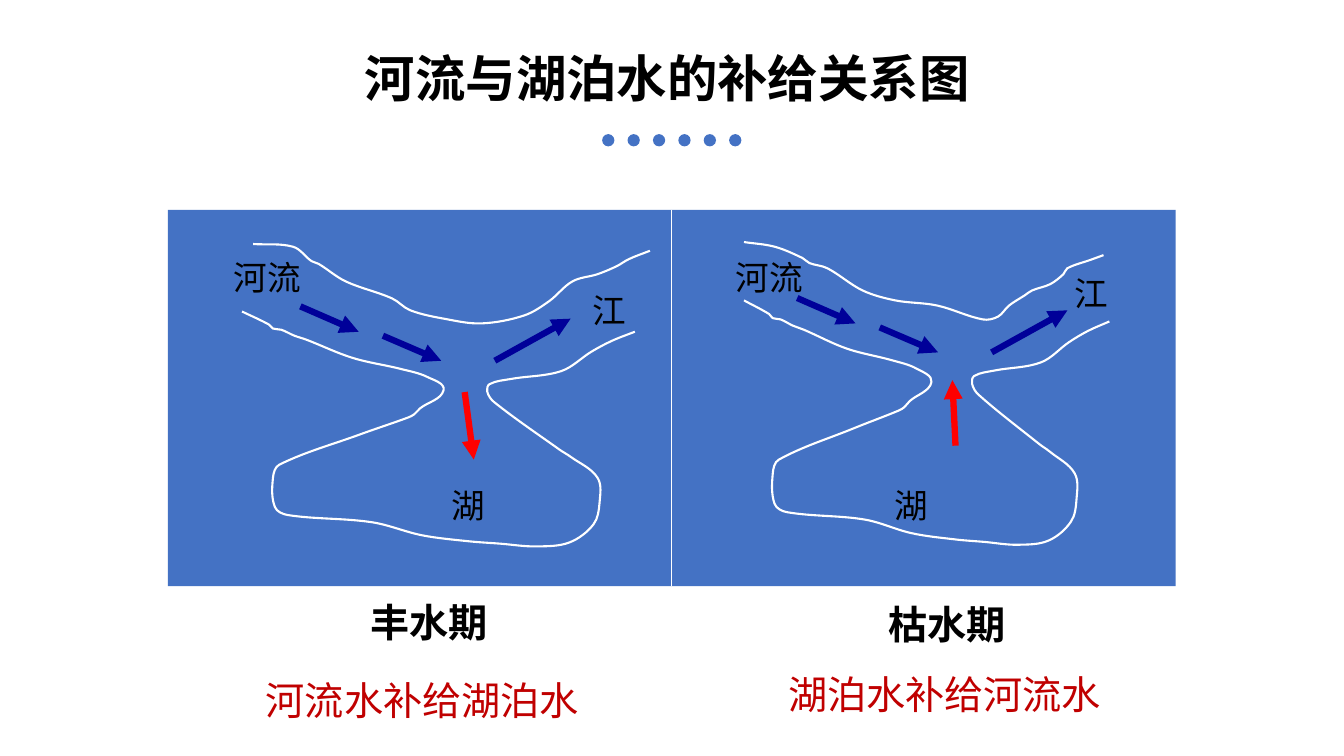
from dataclasses import dataclass
from math import hypot

from lxml.etree import SubElement
from pptx import Presentation
from pptx.dml.color import RGBColor
from pptx.enum.shapes import MSO_CONNECTOR as Connector, MSO_SHAPE as Shape
from pptx.enum.text import MSO_ANCHOR as Anchor, MSO_AUTO_SIZE as AutoSize, PP_ALIGN as Align
from pptx.oxml.ns import qn
from pptx.util import Cm, Pt

TITLE = "河流与湖泊水的补给关系图"
TITLE_BOX = (8.94, 1.07, 15.98, 1.78)
PANEL = (4.23, 5.29, 25.4, 9.48)
DOTS = {"count": 6, "pitch": 0.64, "size": 0.31, "top": 3.38}

SHORE = [
    (6.1, 7.85), (6.78, 8.18), (6.88, 8.28), (7.09, 8.31), (7.42, 8.46), (7.72, 8.56),
    (8.89, 9.02), (10.11, 9.3), (10.77, 9.5), (11.18, 9.83), (10.59, 10.29), (10.44, 10.44),
    (10.29, 10.52), (9.07, 10.95), (7.04, 11.71), (6.88, 12.04), (6.93, 12.78), (7.26, 12.98),
    (9.37, 13.16), (10.64, 13.49), (11.81, 13.64), (12.6, 13.7), (13.51, 13.77), (14.35, 13.67),
    (14.96, 13.21), (15.11, 12.67), (15.06, 12.04), (14.38, 11.51), (14.1, 11.33),
    (12.45, 10.13), (12.28, 9.87), (12.34, 9.68), (12.88, 9.55), (14.15, 9.35),
    (14.91, 8.86), (15.42, 8.59), (16, 8.36),
]
RIVER_ARROWS = [(7.57, 7.72, 9.04, 8.36), (9.65, 8.46, 11.12, 9.09), (12.47, 9.09, 14.38, 8.03)]

SEASONS = [
    {
        "north_bank": [
            (6.38, 6.15), (7.39, 6.22), (7.85, 6.58), (8.03, 6.65), (8.71, 7.09), (9.88, 7.52),
            (10.34, 7.82), (11.23, 8.04), (12.14, 8.15), (13.21, 7.95), (13.84, 7.59),
            (14.43, 7.09), (15.06, 6.91), (15.54, 6.71), (15.85, 6.53), (16.38, 6.32),
        ],
        "shore_start": (6.1, 7.85), "shore_scale": (1, 1),
        "river_shift": (0, 0), "supply_arrow": (11.71, 9.88, 11.94, 11.58),
        "labels": [
            ("season", "丰水期", (8.69, 14.96, 4.24, 1.45)),
            ("lake", "湖", (11.13, 12.09, 1.17, 1.27)),
            ("lake", "江", (14.68, 7.19, 1.27, 1.27)),
            ("supply", "河流水补给湖泊水", (6.45, 16.92, 8.71, 1.45)),
            ("river", "河流", (5.64, 6.35, 2.51, 1.27)),
        ],
    },
    {
        "north_bank": [
            (18.75, 6.1), (19.53, 6.22), (20.22, 6.5), (20.4, 6.63), (20.85, 6.76), (21.74, 7.32),
            (22.56, 7.57), (23.62, 7.7), (24.77, 8.05), (25.15, 7.98), (25.43, 7.7),
            (25.83, 7.44), (26.01, 7.32), (26.47, 7.16), (26.8, 6.91), (26.9, 6.76),
            (27.48, 6.55), (27.81, 6.43),
        ],
        "shore_start": (18.75, 7.57), "shore_scale": (0.93, 1.04),
        "river_shift": (12.52, -0.21), "supply_arrow": (24.08, 11.23, 24, 9.58),
        "labels": [
            ("season", "枯水期", (21.87, 15.01, 4.01, 1.45)),
            ("lake", "湖", (22.3, 12.09, 3.18, 1.27)),
            ("lake", "江", (26.82, 6.76, 1.27, 1.27)),
            ("supply", "湖泊水补给河流水", (19.61, 16.76, 8.56, 1.45)),
            ("river", "河流", (18.29, 6.35, 2.51, 1.27)),
        ],
    },
]


@dataclass(frozen=True)
class Theme:
    water: str = "4472C4"
    bank: str = "FFFFFF"
    river: str = "000099"
    supply: str = "FF0000"
    ink: str = "000000"
    accent: str = "C00000"
    title_size: int = 36
    large_size: int = 28
    label_size: int = 24
    sans: str = "Arial"
    serif: str = "Times New Roman"


THEME = Theme()
STYLES = {
    "title": (THEME.sans, THEME.title_size, THEME.ink, True),
    "season": (THEME.serif, THEME.large_size, THEME.ink, True),
    "lake": (THEME.serif, THEME.label_size, THEME.ink, False),
    "supply": (THEME.sans, THEME.large_size, THEME.accent, False),
    "river": (THEME.sans, THEME.label_size, THEME.ink, False),
}


def lengths(values):
    return [Cm(value) for value in values]


def write(frame, text, role):
    frame.word_wrap = True
    frame.auto_size = AutoSize.NONE
    frame.vertical_anchor = Anchor.TOP
    paragraph = frame.paragraphs[0]
    paragraph.alignment = Align.CENTER if role == "season" else Align.LEFT
    run = paragraph.add_run()
    run.text = text
    font, size, color, bold = STYLES[role]
    run.font.name, run.font.size, run.font.bold = font, Pt(size), bold
    run.font.color.rgb = RGBColor.from_string(color)


def add_water(shapes, kind, box):
    water = shapes.add_shape(kind, *lengths(box))
    water.shadow.inherit = False
    water.fill.solid()
    water.fill.fore_color.rgb = RGBColor.from_string(THEME.water)
    water.line.fill.background()


def add_line(shapes, ends, color, width, arrow=False):
    line = shapes.add_connector(Connector.STRAIGHT, *lengths(ends))
    line.line.color.rgb = RGBColor.from_string(color)
    line.line.width = Pt(width)
    if arrow:
        SubElement(line.line._get_or_add_ln(), qn("a:tailEnd"), type="triangle")
    SubElement(line._element.spPr, qn("a:effectLst"))


def tangent(points, index):
    before = points[max(index - 1, 0)]
    after = points[min(index + 1, len(points) - 1)]
    dx, dy = after[0] - before[0], after[1] - before[1]
    return dx / hypot(dx, dy), dy / hypot(dx, dy)


def add_bank(shapes, outline):
    points = [tuple(lengths(point)) for point in outline]
    builder = shapes.build_freeform(*points[0])
    builder.add_line_segments(points[1:], close=False)
    bank = builder.convert_to_shape()
    bank.shadow.inherit = False
    bank.fill.background()
    bank.line.color.rgb = RGBColor.from_string(THEME.bank)
    bank.line.width = Pt(1.5)
    left, top = min(x for x, _ in points), min(y for _, y in points)
    segments = list(bank._element.iter(qn("a:lnTo")))
    for index, segment in enumerate(segments):
        (x1, y1), (x2, y2) = points[index:index + 2]
        reach = hypot(x2 - x1, y2 - y1) / 3
        (u1, v1), (u2, v2) = tangent(points, index), tangent(points, index + 1)
        controls = [(x1 + u1 * reach, y1 + v1 * reach), (x2 - u2 * reach, y2 - v2 * reach), (x2, y2)]
        segment.clear()
        curve = SubElement(segment.getparent(), qn("a:cubicBezTo"))
        segment.getparent().replace(segment, curve)
        for x, y in controls:
            SubElement(curve, qn("a:pt"), x=str(round(x - left)), y=str(round(y - top)))


def add_season(shapes, season):
    add_bank(shapes, season["north_bank"])
    (start_x, start_y), (scale_x, scale_y) = season["shore_start"], season["shore_scale"]
    base_x, base_y = SHORE[0]
    add_bank(shapes, [(start_x + (x - base_x) * scale_x, start_y + (y - base_y) * scale_y)
                      for x, y in SHORE])
    dx, dy = season["river_shift"]
    for x1, y1, x2, y2 in RIVER_ARROWS:
        add_line(shapes, (x1 + dx, y1 + dy, x2 + dx, y2 + dy), THEME.river, 4.5, arrow=True)
    add_line(shapes, season["supply_arrow"], THEME.supply, 4.5, arrow=True)
    for role, text, box in season["labels"]:
        write(shapes.add_textbox(*lengths(box)).text_frame, text, role)


def main():
    deck = Presentation()
    deck.slide_width, deck.slide_height = Cm(33.87), Cm(19.05)
    shapes = deck.slides.add_slide(deck.slide_layouts[5]).shapes
    title = shapes.title
    title.left, title.top, title.width, title.height = lengths(TITLE_BOX)
    write(title.text_frame, TITLE, "title")

    left, top, width, height = PANEL
    center = left + width / 2
    add_water(shapes, Shape.RECTANGLE, PANEL)
    add_line(shapes, (center, top, center, top + height), THEME.bank, 1)
    size = DOTS["size"]
    first = center - ((DOTS["count"] - 1) * DOTS["pitch"] + size) / 2
    for index in range(DOTS["count"]):
        add_water(shapes, Shape.OVAL, (first + index * DOTS["pitch"], DOTS["top"], size, size))
    for season in SEASONS:
        add_season(shapes, season)
    deck.save("out.pptx")


if __name__ == "__main__":
    main()
